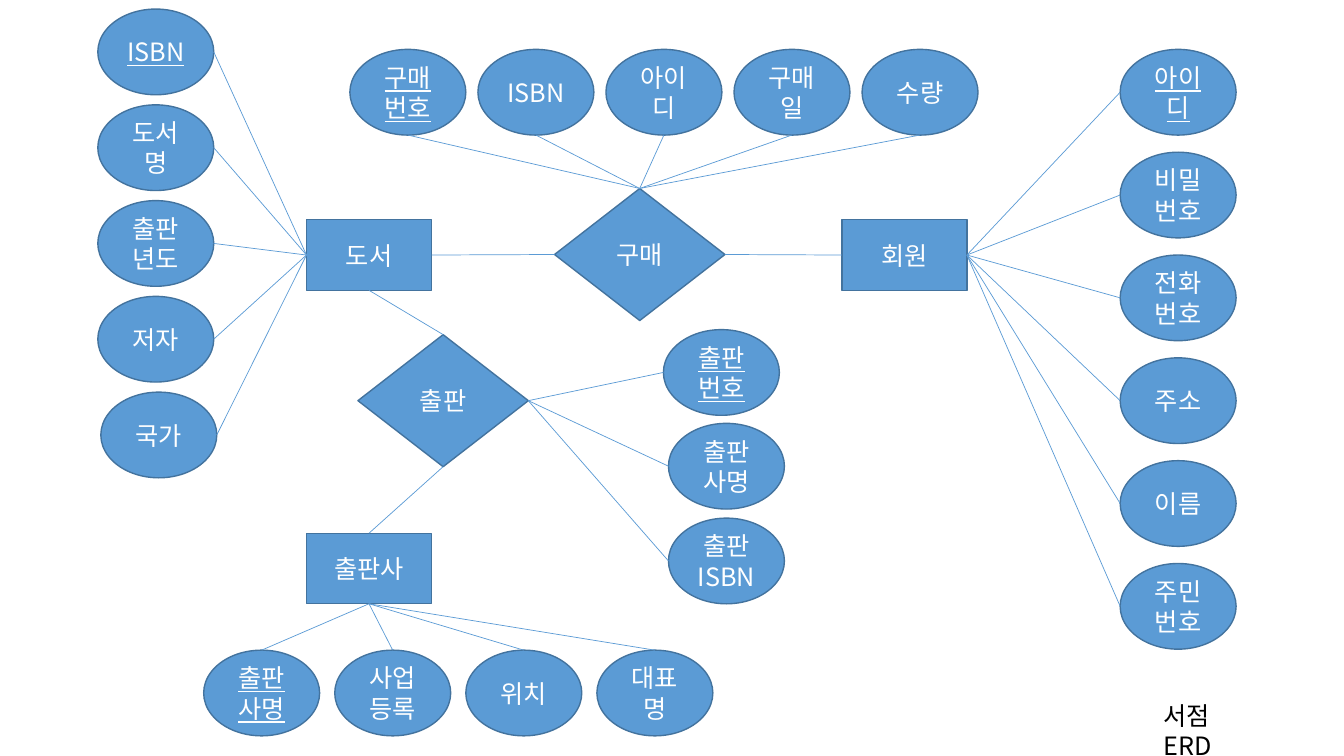
import dataclasses

import pptx
import pptx.dml.color
import pptx.enum.shapes
import pptx.enum.text
import pptx.oxml
import pptx.oxml.ns
import pptx.util

Inches = pptx.util.Inches
Pt = pptx.util.Pt
KIND = pptx.enum.shapes.MSO_SHAPE
TOP, LEFT, BOTTOM, RIGHT = range(4)
PORTS = [(0.5, 0), (0, 0.5), (0.5, 1), (1, 0.5)]
SIZES = {
    KIND.RECTANGLE: (1.24, 0.7),
    KIND.OVAL: (1.15, 0.85),
    KIND.FLOWCHART_DECISION: (1.69, 1.31),
}


@dataclasses.dataclass(frozen=True)
class Theme:
    """Colours, font and sizes of the diagram."""
    fill: str = "5B9BD5"
    edge: str = "43739E"
    light: str = "FFFFFF"
    dark: str = "000000"
    font: str = "Noto Sans CJK KR"
    size: float = 18
    border: float = 1
    link: float = 0.5


THEME = Theme()


def rgb(code):
    """Return a colour from its hex code."""
    return pptx.dml.color.RGBColor.from_string(code)


def write(para, text, color, key=False):
    """Add one run of text, underlined for a key."""
    run = para.add_run()
    run.text = text
    font = run.font
    font.name = THEME.font
    font.size = Pt(THEME.size)
    font.color.rgb = rgb(color)
    if key:
        font.underline = True
    east = pptx.oxml.parse_xml(
        f'<a:ea {pptx.oxml.ns.nsdecls("a")} typeface="{THEME.font}"/>')
    font._element.find(pptx.oxml.ns.qn("a:latin")).addnext(east)


def node(slide, kind, text, left, top, key=False):
    """Draw an entity, relation or attribute."""
    wide, high = SIZES[kind]
    shape = slide.shapes.add_shape(
        kind, Inches(left), Inches(top), Inches(wide), Inches(high))
    shape.shadow.inherit = False
    shape.fill.solid()
    shape.fill.fore_color.rgb = rgb(THEME.fill)
    shape.line.color.rgb = rgb(THEME.edge)
    shape.line.width = Pt(THEME.border)
    frame = shape.text_frame
    frame.word_wrap = True
    frame.vertical_anchor = pptx.enum.text.MSO_ANCHOR.MIDDLE
    para = frame.paragraphs[0]
    para.alignment = pptx.enum.text.PP_ALIGN.CENTER
    write(para, text, THEME.light, key)
    return shape


def point(shape, port):
    """Return the middle of one side of a shape."""
    across, down = PORTS[port]
    return (shape.left + int(shape.width * across),
            shape.top + int(shape.height * down))


def link(slide, start, port, end, goal):
    """Join the sides of two shapes with a line."""
    line = slide.shapes.add_connector(
        pptx.enum.shapes.MSO_CONNECTOR.STRAIGHT,
        *point(start, port), *point(end, goal))
    line.line.color.rgb = rgb(THEME.fill)
    line.line.width = Pt(THEME.link)
    line._element.spPr.append(pptx.oxml.parse_xml(
        f'<a:effectLst {pptx.oxml.ns.nsdecls("a")}/>'))
    line.begin_connect(start, port)
    if goal == TOP or end.auto_shape_type != KIND.OVAL:
        line.end_connect(end, goal)


def fan(slide, owner, port, names, spots):
    """Spread attributes from one side of their owner, key first."""
    for order, (name, (left, top)) in enumerate(zip(names, spots)):
        oval = node(slide, KIND.OVAL, name, left, top, key=order == 0)
        link(slide, owner, port, oval, (port + 2) % 4)


def title(slide, text):
    """Write the diagram title in the lower corner."""
    box = slide.shapes.add_textbox(
        Inches(11.44), Inches(6.9), Inches(1.26), Inches(0.4))
    frame = box.text_frame
    frame.word_wrap = True
    frame.margin_right = Inches(0.4)
    write(frame.paragraphs[0], text, THEME.dark)


def main():
    """Build the bookshop diagram."""
    deck = pptx.Presentation()
    deck.slide_width = Inches(13.33)
    deck.slide_height = Inches(7.5)
    slide = deck.slides.add_slide(deck.slide_layouts[6])

    book = node(slide, KIND.RECTANGLE, "도서", 3.04, 2.18)
    member = node(slide, KIND.RECTANGLE, "회원", 8.35, 2.18)
    press = node(slide, KIND.RECTANGLE, "출판사", 3.04, 5.29)
    order = node(slide, KIND.FLOWCHART_DECISION, "구매", 5.5, 1.87)
    issue = node(slide, KIND.FLOWCHART_DECISION, "출판", 3.55, 3.32)

    link(slide, book, RIGHT, order, LEFT)
    link(slide, order, RIGHT, member, LEFT)
    link(slide, book, BOTTOM, issue, TOP)
    link(slide, issue, BOTTOM, press, TOP)

    fan(slide, book, LEFT, ["ISBN", "도서명", "출판년도", "저자", "국가"],
        [(1 if i == 4 else 0.97, 0.09 + 0.95 * i) for i in range(5)])
    fan(slide, member, RIGHT,
        ["아이디", "비밀번호", "전화번호", "주소", "이름", "주민번호"],
        [(11.11, 0.49 + 1.02 * i) for i in range(6)])
    fan(slide, order, TOP, ["구매번호", "ISBN", "아이디", "구매일", "수량"],
        [(3.47 + 1.27 * i, 0.49) for i in range(5)])
    fan(slide, press, BOTTOM, ["출판사명", "사업등록", "위치", "대표명"],
        [(2.02 + 1.3 * i, 6.45) for i in range(4)])
    fan(slide, issue, RIGHT, ["출판번호", "출판사명", "출판ISBN"],
        [(6.58, 3.27), (6.63, 4.2), (6.63, 5.14)])
    title(slide, "서점 ERD")
    deck.save("out.pptx")


if __name__ == "__main__":
    main()
